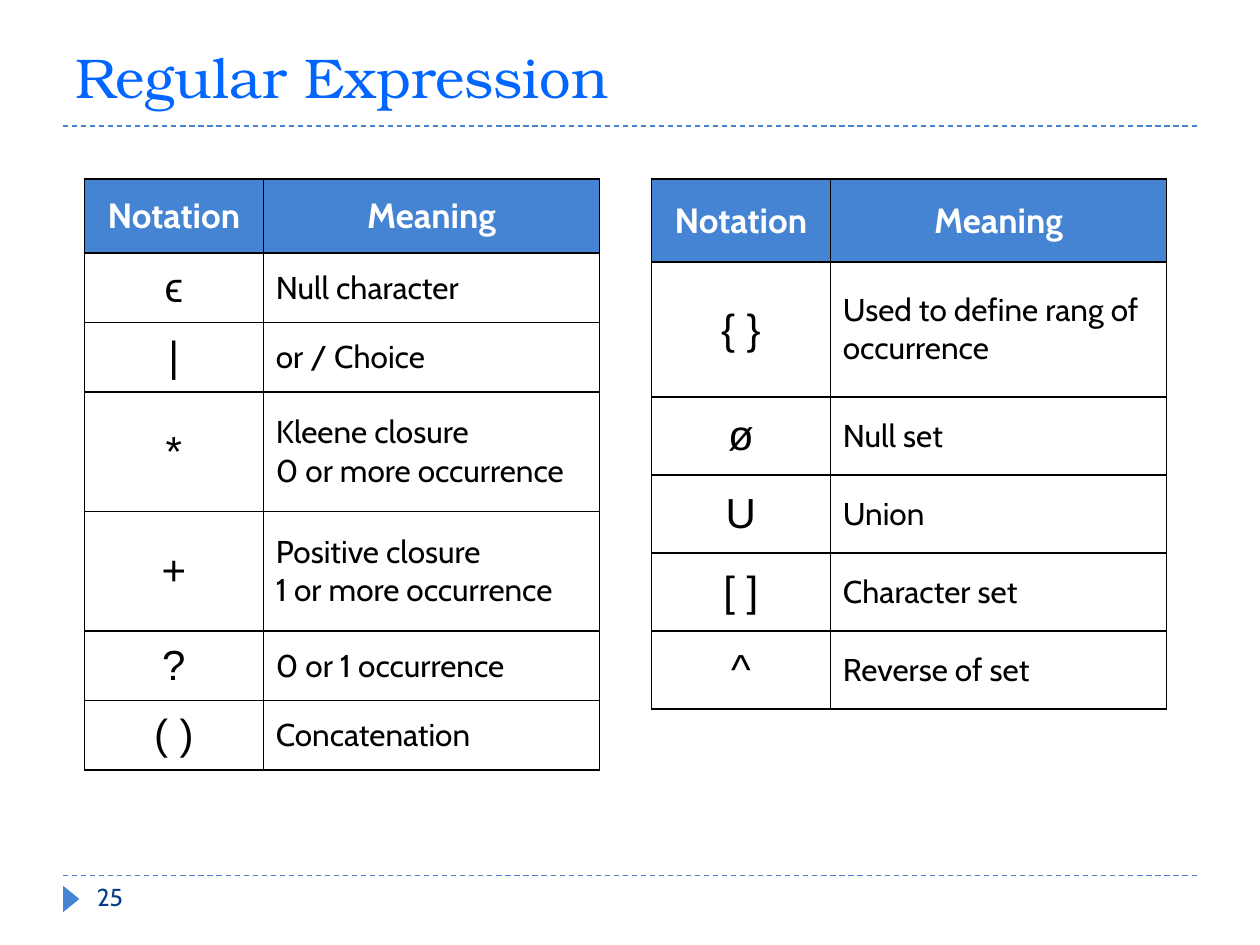
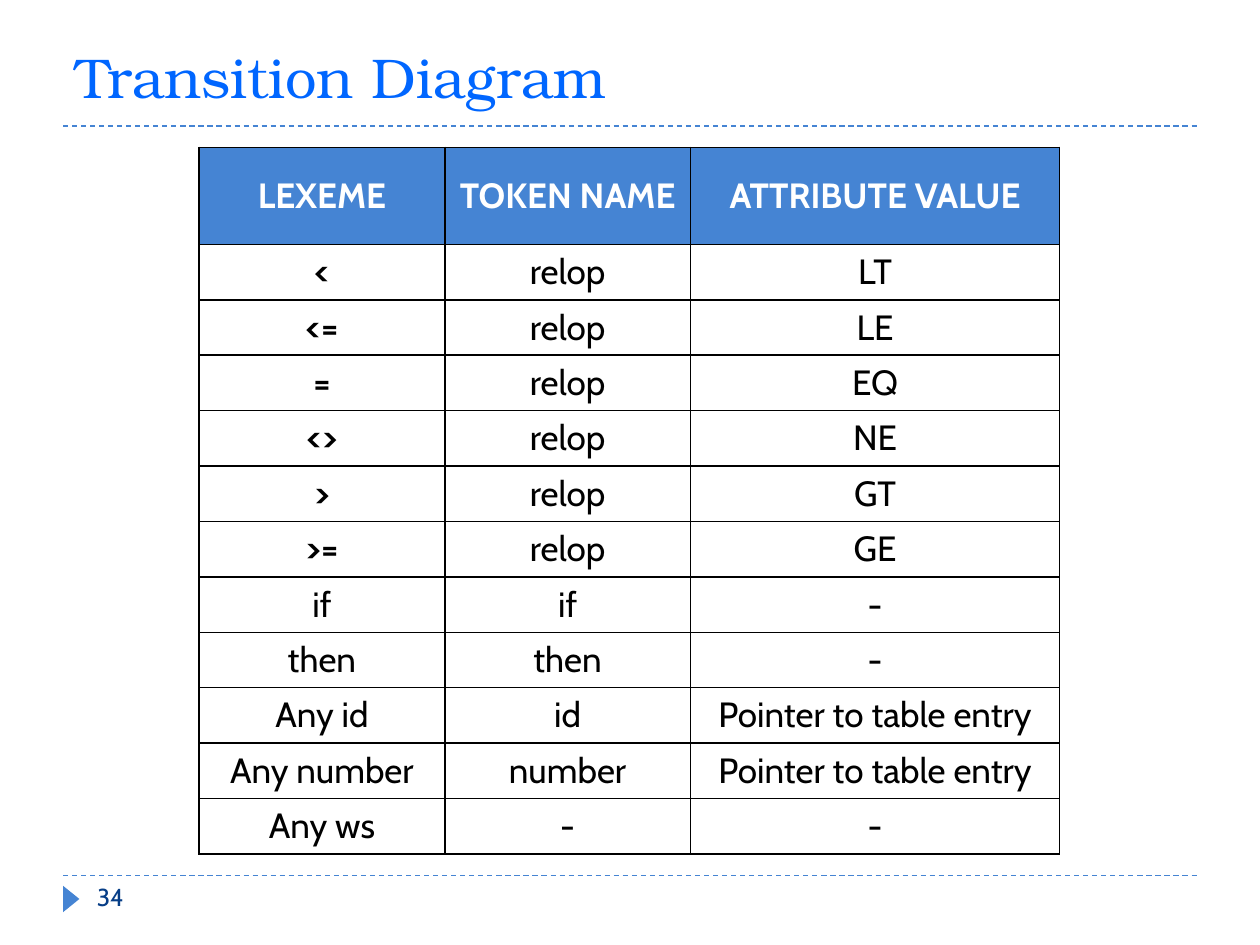
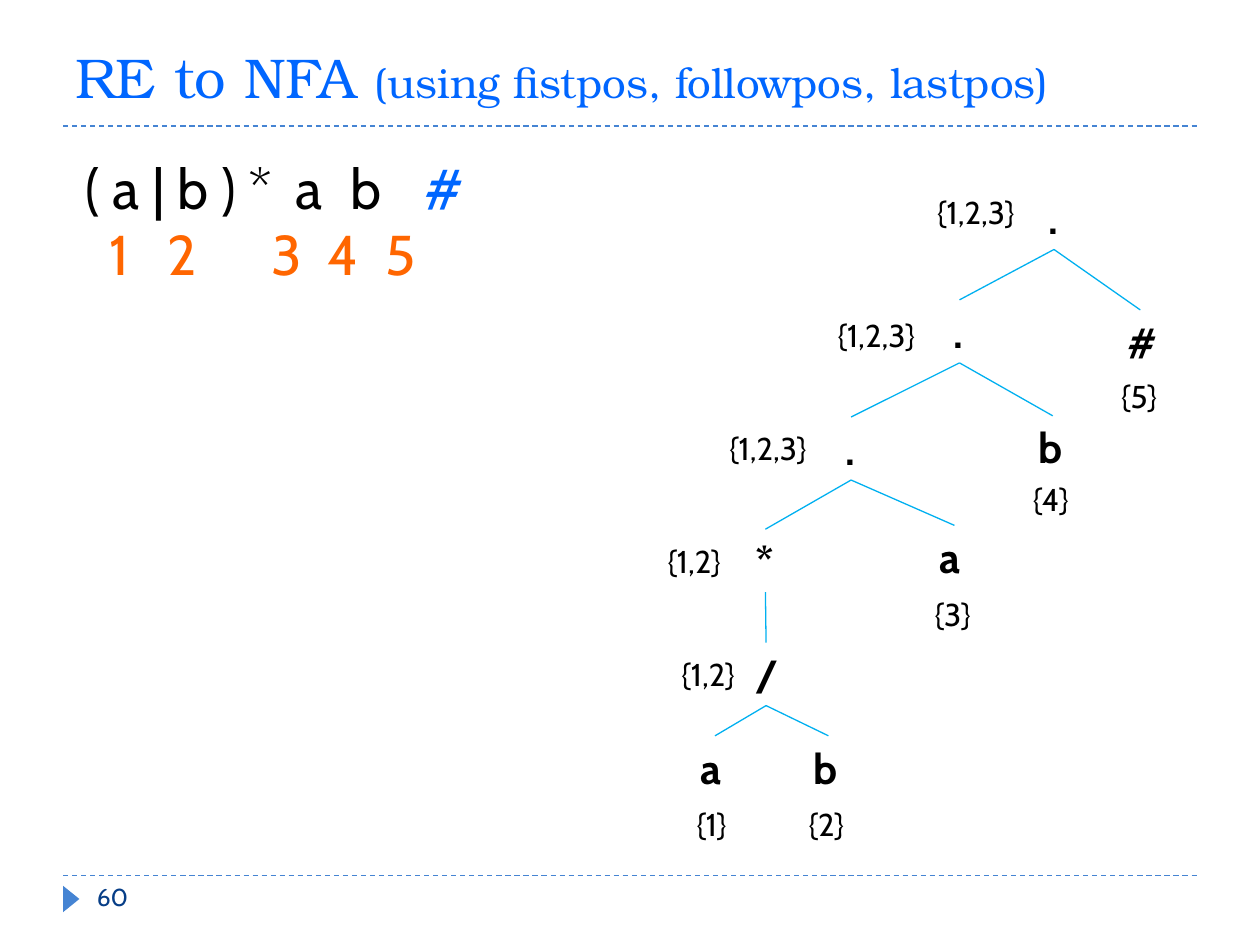
from lxml.etree import SubElement
from pptx import Presentation
from pptx.dml.color import RGBColor
from pptx.enum.dml import MSO_LINE
from pptx.enum.shapes import MSO_CONNECTOR, MSO_SHAPE
from pptx.enum.text import MSO_ANCHOR, MSO_AUTO_SIZE, PP_ALIGN
from pptx.oxml.ns import qn
from pptx.util import Pt

PX = 9144


class Theme:
    black = RGBColor.from_string("000000")
    white = RGBColor.from_string("FFFFFF")
    band = RGBColor.from_string("4584D3")
    heading = RGBColor.from_string("0066FF")
    number = RGBColor.from_string("073E87")
    position = RGBColor.from_string("FF6600")
    branch = RGBColor.from_string("00B0F0")
    rule = Pt(0.75)
    border = Pt(1)
    styles = {
        "title": (dict(name="TeX Gyre Bonum", size=Pt(32)), heading),
        "subtitle": (dict(name="TeX Gyre Bonum", size=Pt(24)), heading),
        "page": (dict(name="Cabin", size=Pt(14)), number),
        "header": (dict(name="Cabin", size=Pt(20), bold=True), white),
        "symbol": (dict(name="Arial", size=Pt(24), bold=False), black),
        "meaning": (dict(name="Cabin", size=Pt(18), bold=False), black),
        "token": (dict(name="Cabin", size=Pt(20), bold=False), black),
        "operator": (dict(name="Cabin", size=Pt(20), bold=True), black),
        "formula": (dict(name="Cabin", size=Pt(32)), black),
        "endmarker": (dict(name="Cabin", size=Pt(32)), heading),
        "position": (dict(name="Cabin", size=Pt(32)), position),
        "node": (dict(name="Cabin", size=Pt(24), bold=True), black),
        "firstpos": (dict(name="Cabin", size=Pt(18)), black),
    }


def write(frame, runs, align=PP_ALIGN.LEFT, tabs=(), **frame_format):
    for key, value in frame_format.items():
        setattr(frame, key, value)
    paragraph = frame.paragraphs[0]
    for text, style in runs:
        for index, line in enumerate(text.split("\n")):
            if index:
                paragraph = frame.add_paragraph()
            paragraph.alignment = align
            run = paragraph.add_run()
            run.text = line
            font_format, color = Theme.styles[style]
            for key, value in font_format.items():
                setattr(run.font, key, value)
            run.font.color.rgb = color
    if tabs:
        tab_list = SubElement(paragraph._p.get_or_add_pPr(), qn("a:tabLst"))
        for stop in tabs:
            SubElement(tab_list, qn("a:tab"), pos=str(stop * PX), algn="l")


def fill_table(slide, left, top, widths, heights, rows, column_styles, column_aligns):
    table = slide.shapes.add_table(
        len(rows), len(widths), left * PX, top * PX, sum(widths) * PX, sum(heights) * PX
    ).table
    table.horz_banding = False
    for column, width in zip(table.columns, widths):
        column.width = width * PX
    for row, height in zip(table.rows, heights):
        row.height = height * PX
    for row_index, row in enumerate(rows):
        for column_index, text in enumerate(row):
            cell = table.cell(row_index, column_index)
            cell.vertical_anchor = MSO_ANCHOR.MIDDLE
            properties = cell._tc.get_or_add_tcPr()
            for side in ("lnL", "lnR", "lnT", "lnB"):
                edge = SubElement(properties, qn(f"a:{side}"), w=str(Theme.border))
                paint = SubElement(edge, qn("a:solidFill"))
                SubElement(paint, qn("a:srgbClr"), val=str(Theme.black))
            if row_index == 0:
                cell.fill.solid()
                cell.fill.fore_color.rgb = Theme.band
                style, align = "header", PP_ALIGN.CENTER
            else:
                cell.fill.background()
                style, align = column_styles[column_index], column_aligns[column_index]
            if style == "token" and set(text) <= set("<>="):
                style = "operator"
            write(cell.text_frame, [(text, style)], align)


prs = Presentation()
prs.slide_width = 1000 * PX
prs.slide_height = 750 * PX

headings = [
    ("25", [("Regular Expression", "title")]),
    ("34", [("Transition Diagram", "title")]),
    ("60", [("RE to NFA ", "title"), ("(using fistpos, followpos, lastpos)", "subtitle")]),
]
slides = []
for page, heading in headings:
    slide = prs.slides.add_slide(prs.slide_layouts[5])
    slides.append(slide)
    title = slide.shapes.title
    for key, value in dict(left=50, top=17, width=900, height=75).items():
        setattr(title, key, value * PX)
    write(title.text_frame, heading, vertical_anchor=MSO_ANCHOR.BOTTOM,
          auto_size=MSO_AUTO_SIZE.NONE, word_wrap=True)
    page_number = slide.shapes.add_textbox(67 * PX, 695 * PX, 50 * PX, 40 * PX)
    write(page_number.text_frame, [(page, "page")], word_wrap=True)

notation_slide, token_slide, tree_slide = slides

master_tree = prs.slide_master.shapes.element
for y in (695, 100):
    rule = notation_slide.shapes.add_connector(
        MSO_CONNECTOR.STRAIGHT, 50 * PX, y * PX, 950 * PX, y * PX
    )
    rule.line.color.rgb = Theme.band
    rule.line.width = Theme.rule
    rule.line.dash_style = MSO_LINE.DASH
    SubElement(rule.element.spPr, qn("a:effectLst"))
    master_tree.append(rule.element)
marker = notation_slide.shapes.add_shape(
    MSO_SHAPE.ISOSCELES_TRIANGLE, 46 * PX, 707 * PX, 21 * PX, 13 * PX
)
marker.rotation = 90
marker.shadow.inherit = False
marker.fill.solid()
marker.fill.fore_color.rgb = Theme.band
marker.line.fill.background()
master_tree.append(marker.element)

notations = [
    (67, [59, 55, 55, 95, 95, 55, 55], [
        ("ϵ", "Null character"),
        ("|", "or / Choice"),
        ("*", "Kleene closure\n0 or more occurrence"),
        ("+", "Positive closure\n1 or more occurrence"),
        ("?", "0 or 1 occurrence"),
        ("( )", "Concatenation"),
    ]),
    (517, [66, 107, 62, 62, 62, 62], [
        ("{ }", "Used to define rang of occurrence"),
        ("ø", "Null set"),
        ("U", "Union"),
        ("[ ]", "Character set"),
        ("^", "Reverse of set"),
    ]),
]
for left, heights, meanings in notations:
    fill_table(notation_slide, left, 142, [142, 267], heights,
               [("Notation", "Meaning")] + meanings,
               ["symbol", "meaning"], [PP_ALIGN.CENTER, PP_ALIGN.LEFT])

relations = [("<", "LT"), ("<=", "LE"), ("=", "EQ"), ("<>", "NE"), (">", "GT"), (">=", "GE")]
lexemes = [("LEXEME", "TOKEN NAME", "ATTRIBUTE VALUE")]
lexemes += [(operator, "relop", attribute) for operator, attribute in relations]
lexemes += [
    ("if", "if", "-"),
    ("then", "then", "-"),
    ("Any id", "id", "Pointer to table entry"),
    ("Any number", "number", "Pointer to table entry"),
    ("Any ws", "-", "-"),
]
fill_table(token_slide, 158, 117, [195, 195, 293], [77] + [44] * 11, lexemes,
           ["token"] * 3, [PP_ALIGN.CENTER] * 3)

expression = [
    (58, 117, 342, "( a | b ) *\ta\tb", "formula", (167, 210)),
    (327, 117, 47, "#", "endmarker", ()),
    (58, 169, 324, "\t1\t2\t3\t4\t5", "position", (19, 65, 148, 192, 238)),
]
for left, top, width, text, style, tabs in expression:
    box = tree_slide.shapes.add_textbox(left * PX, top * PX, width * PX, 64 * PX)
    write(box.text_frame, [(text, style)], tabs=tabs, word_wrap=style != "endmarker",
          auto_size=MSO_AUTO_SIZE.SHAPE_TO_FIT_TEXT)

symbol_widths = {"a": 43, "b": 43, "/": 36, "*": 35, ".": 29, "#": 40}
syntax_tree = [
    ("root", None, ".", 822, 148, "{1,2,3}", 734, 148),
    ("cat b", "root", ".", 747, 238, "{1,2,3}", 655, 246),
    ("end", "root", "#", 885, 246, "{5}", 880, 294),
    ("cat a", "cat b", ".", 661, 331, "{1,2,3}", 569, 336),
    ("last b", "cat b", "b", 814, 330, "{4}", 810, 376),
    ("star", "cat a", "*", 590, 420, "{1,2}", 520, 425),
    ("last a", "cat a", "a", 736, 417, "{3}", 732, 467),
    ("or", "star", "/", 590, 510, "{1,2}", 531, 515),
    ("first a", "or", "a", 546, 584, "{1}", 543, 634),
    ("first b", "or", "b", 636, 584, "{2}", 632, 634),
]
nodes = {}
for name, parent, symbol, left, top, firstpos, firstpos_left, firstpos_top in syntax_tree:
    for text, style, x, y, width, height in (
        (firstpos, "firstpos", firstpos_left, firstpos_top, 23 + 9 * len(firstpos), 40),
        (symbol, "node", left, top, symbol_widths[symbol], 50),
    ):
        box = tree_slide.shapes.add_textbox(x * PX, y * PX, width * PX, height * PX)
        write(box.text_frame, [(text, style)], word_wrap=False,
              auto_size=MSO_AUTO_SIZE.SHAPE_TO_FIT_TEXT)
    nodes[name] = box
    if parent:
        branch = tree_slide.shapes.add_connector(MSO_CONNECTOR.STRAIGHT, 0, 0, 0, 0)
        branch.begin_connect(nodes[parent], 2)
        branch.end_connect(box, 0)
        branch.line.color.rgb = Theme.branch
        branch.line.width = Theme.rule
        SubElement(branch.element.spPr, qn("a:effectLst"))

prs.save("out.pptx")
